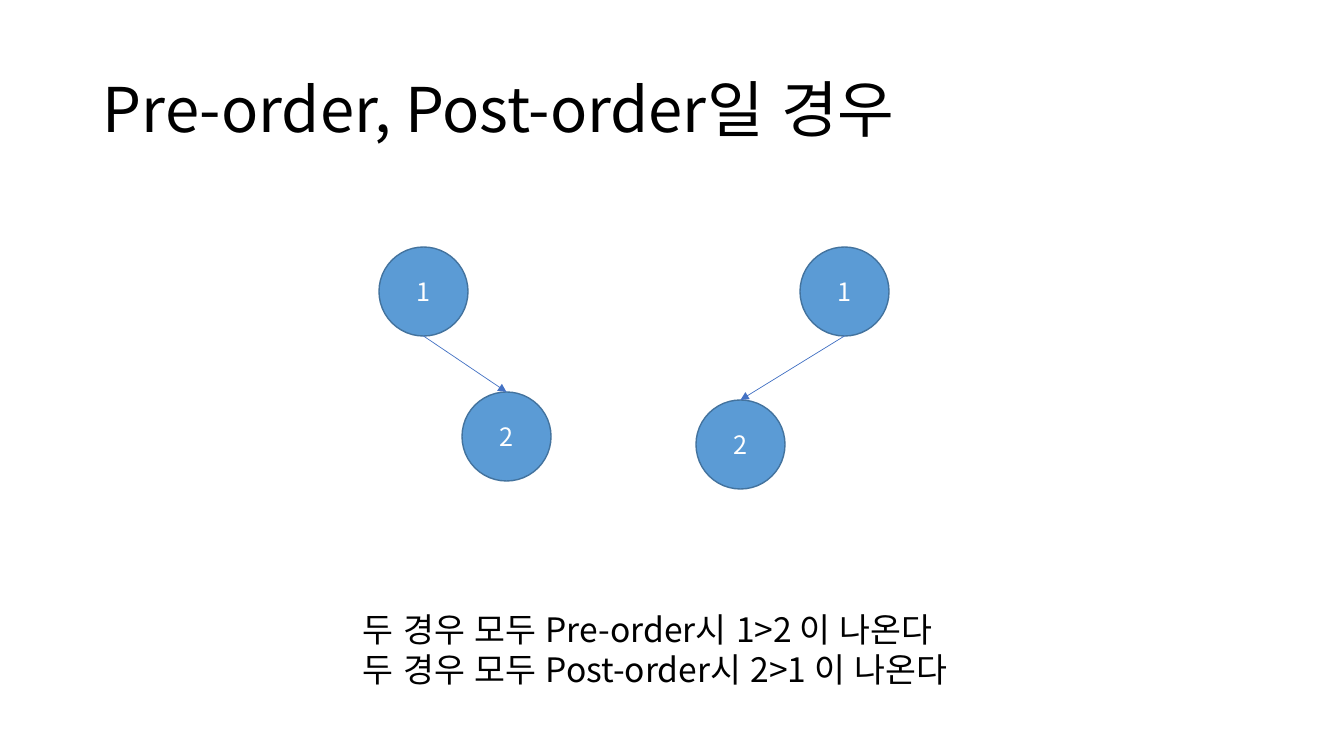
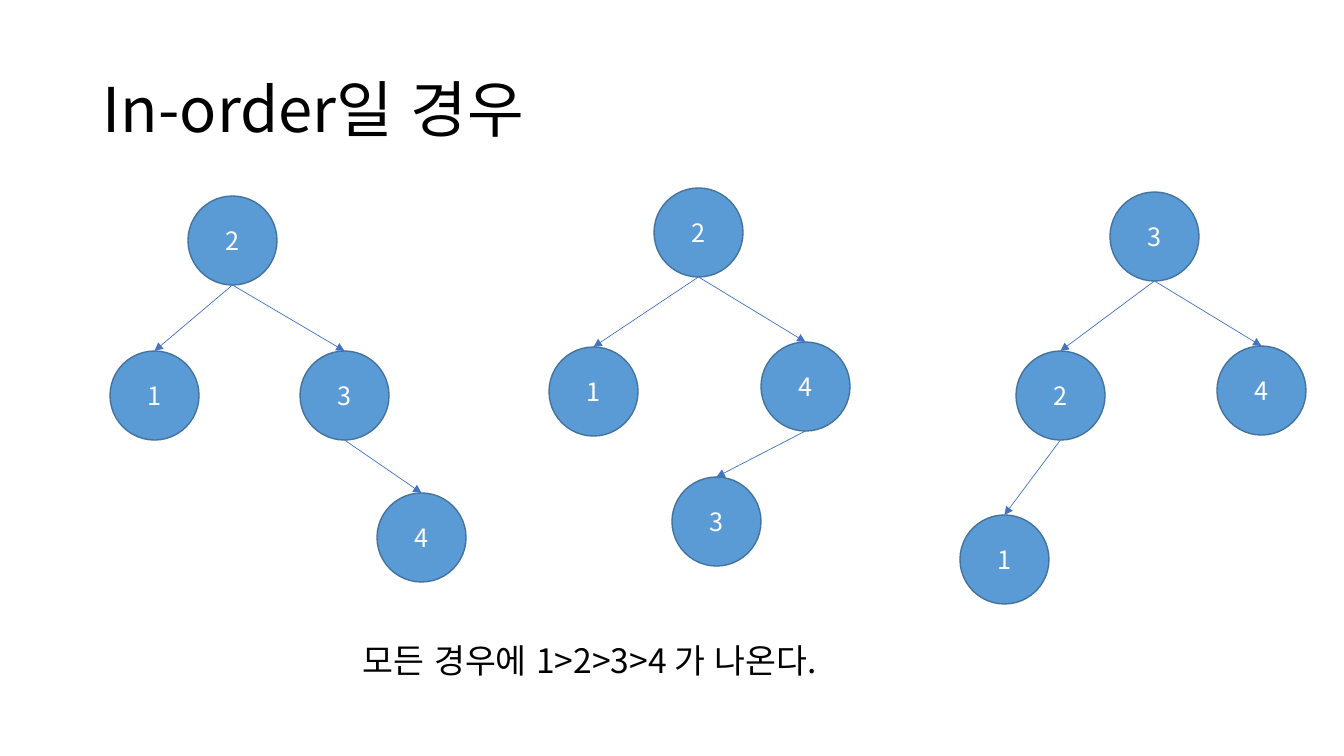
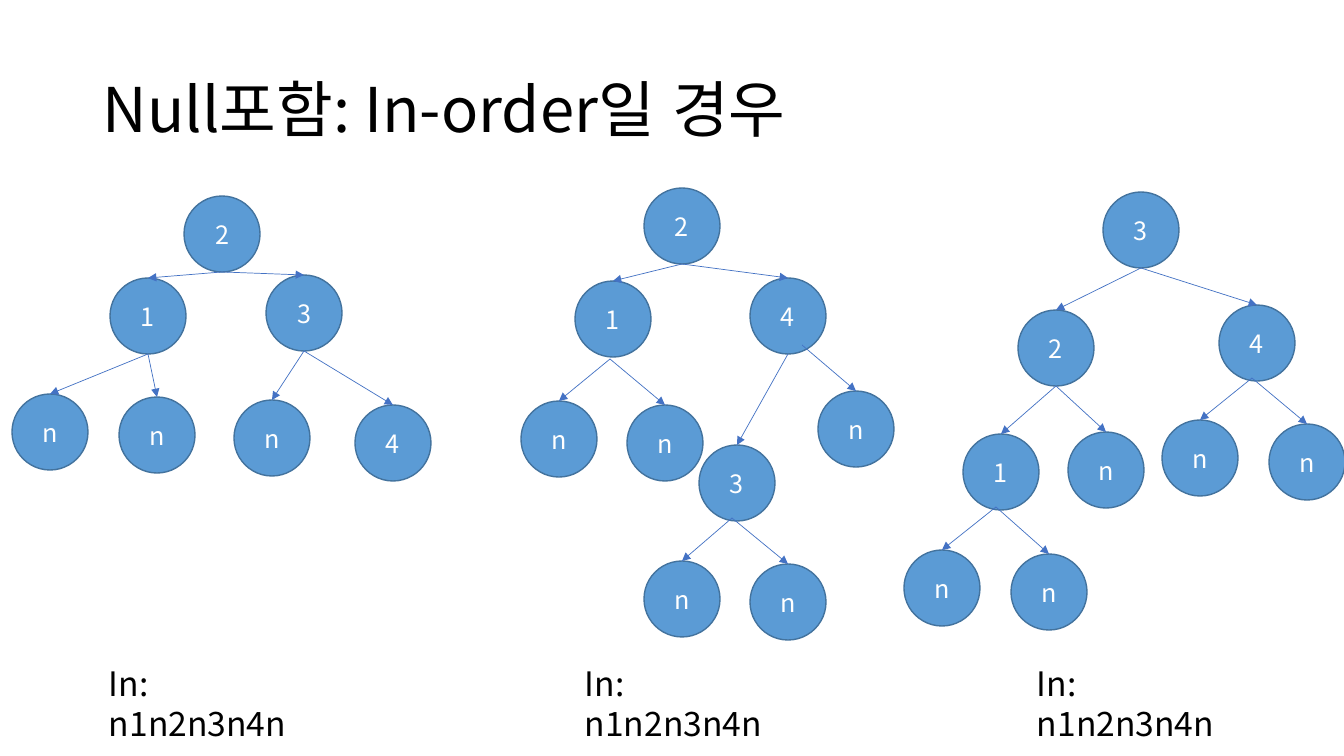
import pptx
import pptx.dml.color
import pptx.enum.lang
import pptx.enum.shapes
import pptx.enum.text
import pptx.oxml.ns
import pptx.util
from lxml import etree

RGB = pptx.dml.color.RGBColor
BLACK = RGB(0x00, 0x00, 0x00)
WHITE = RGB(0xFF, 0xFF, 0xFF)
BLUE = RGB(0x5B, 0x9B, 0xD5)
EDGE = RGB(0x43, 0x73, 0x9E)
ARROW = RGB(0x44, 0x72, 0xC4)

Pt = pptx.util.Pt
qn = pptx.oxml.ns.qn
OVAL = pptx.enum.shapes.MSO_SHAPE.OVAL
STRAIGHT = pptx.enum.shapes.MSO_CONNECTOR.STRAIGHT
CENTER = pptx.enum.text.PP_ALIGN.CENTER
MIDDLE = pptx.enum.text.MSO_ANCHOR.MIDDLE
TOP = pptx.enum.text.MSO_ANCHOR.TOP
KOREAN = pptx.enum.lang.MSO_LANGUAGE_ID.KOREAN

FONT = "Noto Sans CJK KR"
SCALE = 914400 / 100.8  # EMU in one pixel


def px(*values):
    """Turn pixels into EMU."""
    return [round(value * SCALE) for value in values]


def write(shape, lines, style):
    """Fill a shape with one styled paragraph per line."""
    frame = shape.text_frame
    frame.text = "\n".join(lines)
    frame.word_wrap = True
    for key, value in style["frame"].items():
        setattr(frame, key, value)
    for para in frame.paragraphs:
        for key, value in style["para"].items():
            setattr(para, key, value)
        for run in para.runs:
            run.font.name = FONT
            run.font.language_id = KOREAN
            run.font.size = Pt(style["size"])
            run.font.color.rgb = style["color"]
            etree.SubElement(run._r.get_or_add_rPr(), qn("a:ea"), typeface=FONT)


TITLE = {"frame": {"vertical_anchor": MIDDLE}, "para": {"line_spacing": 0.9},
         "size": 44, "color": BLACK}
NODE = {"frame": {"vertical_anchor": MIDDLE}, "para": {"alignment": CENTER},
        "size": 18, "color": WHITE}
NOTE = {"frame": {"vertical_anchor": TOP}, "para": {}, "size": 24, "color": BLACK}
# The wide right margin sends the node sequence to a second line.
ORDER = {**NOTE, "frame": {"vertical_anchor": TOP, "margin_right": px(30)[0]}}

# Arrows start at the bottom of the parent, or this far (right, down) from it.
BELOW = (-3, 2)
ABOVE = (-5, -3)
SIDE = (14, -9)

# A note is: style, left, top, width, height, lines.
# A tree lists its nodes in pre-order: depth, label, left, top, arrow start if shifted.
# The parent of a node is the latest node one level up.
SLIDES = [
    {
        "title": "Pre-order, Post-order일 경우",
        "size": 89,
        "notes": [(NOTE, 353, 604, 652, 132,
                   [f"두 경우 모두 {order}시 {result} 이 나온다"
                    for order, result in (("Pre-order", "1>2"), ("Post-order", "2>1"))])],
        "trees": [
            [(0, "1", 379, 247), (1, "2", 462, 392)],
            [(0, "1", 800, 247), (1, "2", 696, 400)],
        ],
    },
    {
        "title": "In-order일 경우",
        "size": 89,
        "notes": [(NOTE, 353, 635, 528, 50, ["모든 경우에 1>2>3>4 가 나온다."])],
        "trees": [
            [(0, "2", 188, 196),
             (1, "1", 110, 351),
             (1, "3", 300, 351),
             (2, "4", 377, 493)],
            [(0, "2", 654, 188),
             (1, "1", 549, 347),
             (1, "4", 761, 342),
             (2, "3", 672, 477)],
            [(0, "3", 1110, 192),
             (1, "2", 1016, 351),
             (2, "1", 960, 515),
             (1, "4", 1217, 346)],
        ],
    },
    {
        "title": "Null포함: In-order일 경우",
        "size": 76,
        "notes": [(ORDER, left, 658, 242, 50, ["In: n1n2n3n4n"])
                  for left in (99, 575, 1027)],
        "trees": [
            [(0, "2", 184, 196),
             (1, "1", 110, 278),
             (2, "n", 12, 394),
             (2, "n", 119, 397),
             (1, "3", 266, 275),
             (2, "n", 234, 400),
             (2, "4", 355, 405)],
            [(0, "2", 644, 188),
             (1, "1", 575, 281),
             (2, "n", 521, 401, BELOW),
             (2, "n", 627, 405, BELOW),
             (1, "4", 750, 278),
             (2, "3", 699, 445),
             (3, "n", 644, 561, ABOVE),
             (3, "n", 750, 564, ABOVE),
             (2, "n", 818, 391, SIDE)],
            [(0, "3", 1103, 192),
             (1, "2", 1018, 310),
             (2, "1", 963, 434),
             (3, "n", 904, 550, ABOVE),
             (3, "n", 1011, 554, ABOVE),
             (2, "n", 1068, 432),
             (1, "4", 1219, 305),
             (2, "n", 1162, 420, ABOVE),
             (2, "n", 1269, 424, ABOVE)],
        ],
    },
]

deck = pptx.Presentation()
deck.slide_width, deck.slide_height = px(1344, 756)
blank = deck.slide_layouts[6]

for page in SLIDES:
    shapes = deck.slides.add_slide(blank).shapes
    size = page["size"]

    write(shapes.add_textbox(*px(93, 40, 1159, 146)), [page["title"]], TITLE)
    for style, left, top, width, height, lines in page["notes"]:
        write(shapes.add_textbox(*px(left, top, width, height)), lines, style)

    for tree in page["trees"]:
        bottoms = {}  # depth: bottom point of the latest node there
        for depth, label, left, top, *shift in tree:
            node = shapes.add_shape(OVAL, *px(left, top, size, size))
            node.shadow.inherit = False
            node.fill.solid()
            node.fill.fore_color.rgb = BLUE
            node.line.color.rgb = EDGE
            node.line.width = Pt(1)
            write(node, [label], NODE)

            center = left + size / 2
            bottoms[depth] = center, top + size
            if depth == 0:
                continue

            x, y = bottoms[depth - 1]
            right, down = shift[0] if shift else (0, 0)
            arrow = shapes.add_connector(STRAIGHT, *px(x + right, y + down, center, top))
            arrow.line.color.rgb = ARROW
            arrow.line.width = Pt(0.5)
            props = arrow._element.spPr
            etree.SubElement(props.find(qn("a:ln")), qn("a:tailEnd"), type="triangle")
            etree.SubElement(props, qn("a:effectLst"))

deck.save("out.pptx")
